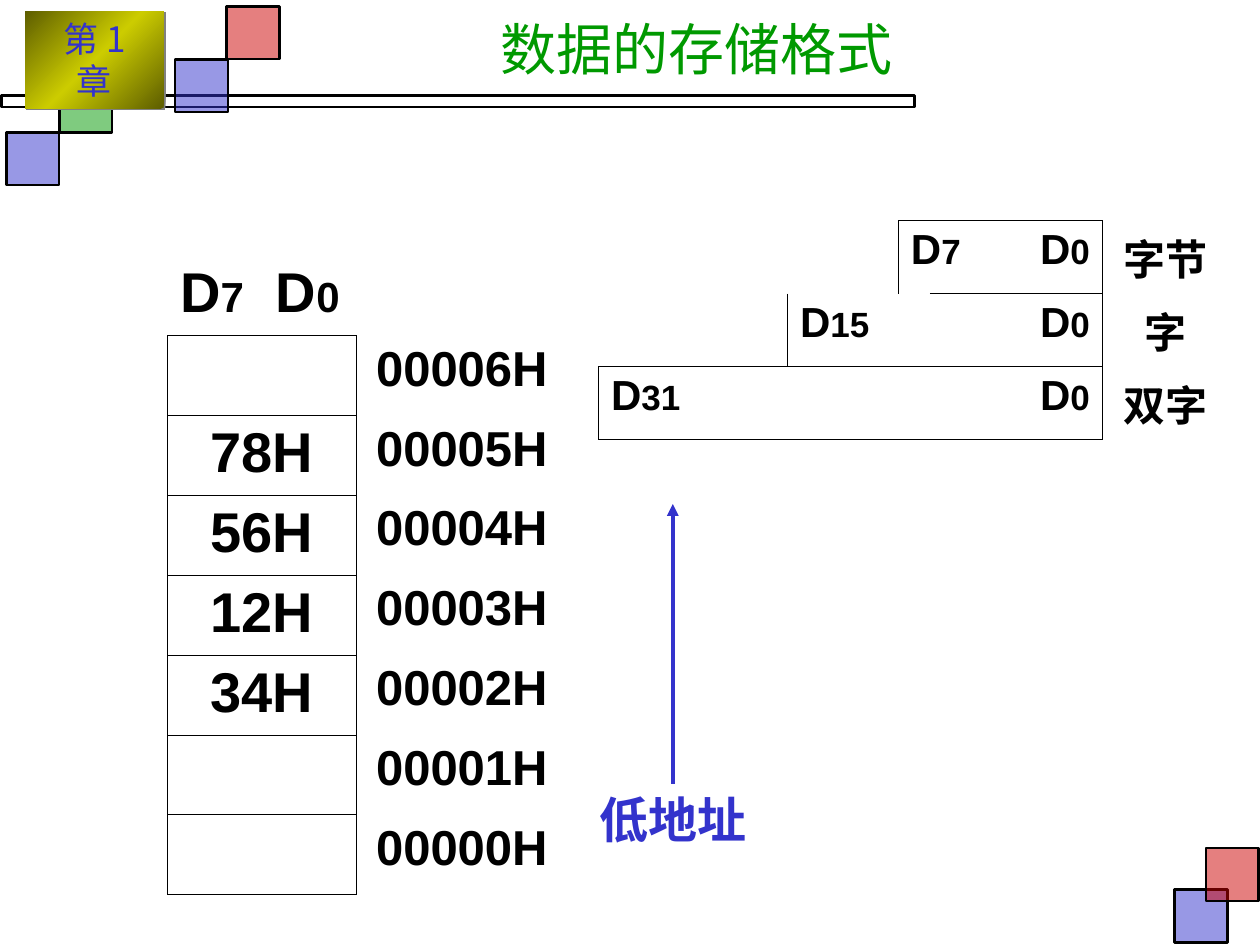
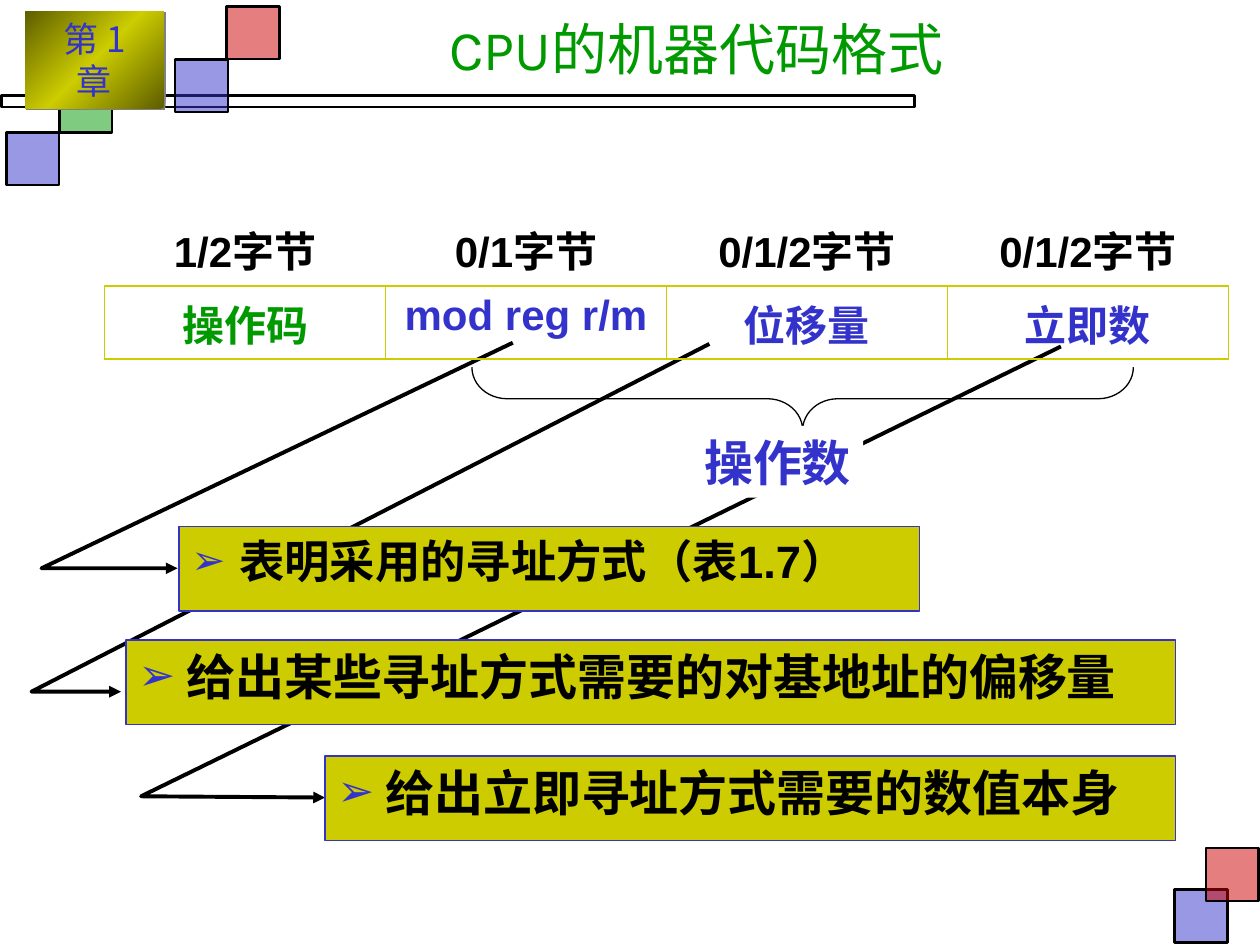
from copy import deepcopy
from lxml.etree import SubElement
from pptx import Presentation
from pptx.dml.color import RGBColor
from pptx.enum.shapes import MSO_CONNECTOR, MSO_SHAPE
from pptx.enum.text import MSO_ANCHOR, PP_ALIGN
from pptx.oxml.ns import qn
from pptx.util import Inches, Pt

COLORS = {
    "black": "000000", "white": "FFFFFF", "blue": "3333CC", "red": "CC0000",
    "green": "009900", "gold": "CCCC00", "olive": "5E5E00", "gray": "808080",
}
CJK_FONT = "Noto Sans CJK JP"
LEFT, CENTER, RIGHT, JUSTIFY = PP_ALIGN.LEFT, PP_ALIGN.CENTER, PP_ALIGN.RIGHT, PP_ALIGN.JUSTIFY


def write(frame, text, size=24, color="black", font="Arial", bold=True, align=LEFT,
          bullet=None, tab=None):
    para = frame.paragraphs[0]
    para.alignment = align
    properties = para._p.get_or_add_pPr()
    if bullet:
        properties.set("marL", str(Inches(0.38)))
        properties.set("indent", str(-Inches(0.38)))
        tint = SubElement(properties, qn("a:buClr"))
        SubElement(tint, qn("a:srgbClr"), val=COLORS["blue"])
        SubElement(properties, qn("a:buSzPct"), val="90000")
        SubElement(properties, qn("a:buFont"), typeface=font)
        SubElement(properties, qn("a:buChar"), char=bullet)
    if tab:
        stops = SubElement(properties, qn("a:tabLst"))
        SubElement(stops, qn("a:tab"), pos=str(Inches(tab)), algn="l")
    parts = [(text, size)] if isinstance(text, str) else text
    for words, points in parts:
        span = para.add_run()
        span.text = words
        span.font.size = Pt(points)
        span.font.bold = bold
        span.font.name = font
        span.font.color.rgb = RGBColor.from_string(COLORS[color])
        SubElement(span._r.get_or_add_rPr(), qn("a:ea"), typeface=CJK_FONT)


def draw_borders(cell, sides, color, width):
    properties = cell._tc.get_or_add_tcPr()
    for position, side in enumerate("LRTB"):
        line = properties.makeelement(qn("a:ln" + side), {"w": str(Pt(width))})
        if side in sides:
            fill = SubElement(line, qn("a:solidFill"))
            SubElement(fill, qn("a:srgbClr"), val=COLORS[color])
        else:
            SubElement(line, qn("a:noFill"))
        properties.insert(position, line)


deck = Presentation()
deck.slide_width, deck.slide_height = Inches(10), Inches(7.5)

SQUARES = [
    (9.32, 7.06, "blue"), (9.57, 6.73, "red"), (1.39, 0.47, "blue"),
    (0.05, 1.05, "blue"), (0.47, 0.63, "green"), (1.8, 0.05, "red"),
]
pages = []
for title in ("数据的存储格式", "CPU的机器代码格式"):
    page = deck.slides.add_slide(deck.slide_layouts[6])
    pages.append(page)
    band = page.shapes.add_shape(MSO_SHAPE.RECTANGLE, Inches(0.01), Inches(0.76),
                                 Inches(7.25), Inches(0.09))
    band.shadow.inherit = False
    band.fill.background()
    band.line.color.rgb = RGBColor.from_string(COLORS["black"])
    band.line.width = Pt(1.5)
    for left, top, color in SQUARES:
        square = page.shapes.add_shape(MSO_SHAPE.RECTANGLE, Inches(left), Inches(top),
                                       Inches(0.42), Inches(0.42))
        square.shadow.inherit = False
        square.fill.solid()
        square.fill.fore_color.rgb = RGBColor.from_string(COLORS[color])
        tint = square._element.spPr.find(qn("a:solidFill")).find(qn("a:srgbClr"))
        SubElement(tint, qn("a:alpha"), val="50000")
        square.line.color.rgb = RGBColor.from_string(COLORS["black"])
        square.line.width = Pt(1.5)

    chapter = page.shapes.add_shape(MSO_SHAPE.RECTANGLE, Inches(0.2), Inches(0.09),
                                    Inches(1.1), Inches(0.77))
    chapter.line.fill.background()
    chapter.shadow.inherit = False
    chapter.fill.gradient()
    chapter.fill.gradient_angle = 315
    dark, light = chapter.fill.gradient_stops
    dark.color.rgb = RGBColor.from_string(COLORS["olive"])
    light.color.rgb = RGBColor.from_string(COLORS["gold"])
    dark.position, light.position = 0, 0.5
    stop_list = chapter._element.spPr.find(".//" + qn("a:gsLst"))
    last_stop = deepcopy(stop_list[0])
    last_stop.set("pos", "100000")
    stop_list.append(last_stop)
    effects = chapter._element.spPr.find(qn("a:effectLst"))
    shadow = SubElement(effects, qn("a:outerShdw"), dist=str(Pt(1.4)), dir="2700000")
    SubElement(shadow, qn("a:srgbClr"), val=COLORS["gray"])
    frame = chapter.text_frame
    frame.word_wrap = True
    frame.vertical_anchor = MSO_ANCHOR.TOP
    frame.margin_left = frame.margin_right = Inches(0.16)
    write(frame, "第 1 章", size=20, color="blue", font=CJK_FONT, bold=False, align=CENTER)

    heading = page.shapes.add_textbox(Inches(2.24), Inches(0.08), Inches(6.58), Inches(0.6))
    frame = heading.text_frame
    frame.word_wrap = True
    frame.vertical_anchor = MSO_ANCHOR.MIDDLE
    frame.margin_left = frame.margin_right = frame.margin_top = frame.margin_bottom = 0
    write(frame, title, size=32, color="green", font="Karla", bold=False, align=CENTER)

storage_page, code_page = pages

NOTES = [
    ("给出立即寻址方式需要的数值本身", 28, 2.58, 6, 6.75, [(8.42, 2.75), (1.12, 6.32), (2.58, 6.33)]),
    ("给出某些寻址方式需要的对基地址的偏移量", 28, 1, 5.08, 8.33, [(5.63, 2.73), (0.25, 5.49), (0.96, 5.49)]),
    ("表明采用的寻址方式（表1.7）", 25.9, 1.42, 4.18, 5.88, [(4.07, 2.72), (0.33, 4.51), (1.41, 4.51)]),
]
for text, size, left, top, width, points in NOTES:
    start, *rest = [(Inches(x), Inches(y)) for x, y in points]
    builder = code_page.shapes.build_freeform(*start)
    builder.add_line_segments(rest, close=False)
    pointer = builder.convert_to_shape()
    pointer.shadow.inherit = False
    pointer.fill.background()
    pointer.line.color.rgb = RGBColor.from_string(COLORS["black"])
    pointer.line.width = Pt(2.25)
    SubElement(pointer._element.spPr.find(qn("a:ln")), qn("a:tailEnd"), type="triangle")

    note = code_page.shapes.add_shape(MSO_SHAPE.RECTANGLE, Inches(left), Inches(top),
                                      Inches(width), Inches(0.67))
    note.shadow.inherit = False
    note.fill.solid()
    note.fill.fore_color.rgb = RGBColor.from_string(COLORS["gold"])
    note.line.color.rgb = RGBColor.from_string(COLORS["blue"])
    note.line.width = Pt(0.75)
    note.text_frame.word_wrap = True
    note.text_frame.vertical_anchor = MSO_ANCHOR.TOP
    write(note.text_frame, text, size=size, align=JUSTIFY, bullet="➢")

TABLES = [
    (storage_page, 4.75, 1.75, [1.25, 0.25, 0.88, 0.25, 0.56, 0.81, 1], 3, 0.58),
    (storage_page, 1.33, 2.03, [1.5, 1.67], 8, 5.07 / 8),
    (code_page, 0.83, 1.69, [2.23] * 4, 2, 0.58),
]
tables = []
for page, left, top, widths, row_count, height in TABLES:
    table = page.shapes.add_table(row_count, len(widths), Inches(left), Inches(top),
                                  Inches(sum(widths)), Inches(row_count * height)).table
    table.first_row = table.horz_banding = False
    table._tbl.tblPr.find(qn("a:tableStyleId")).text = "{2D5ABB26-0587-4C30-8999-92F81FD0307C}"
    for column, width in zip(table.columns, widths):
        column.width = Inches(width)
    for row in table.rows:
        row.height = Inches(height)
        for cell in row.cells:
            cell.fill.background()
    tables.append(table)
units, memory, fields = tables

UNITS = [
    ("7", "字节", 3, [(1, 2), (3, 4)]),
    ("15", "字", 2, [(0, 1), (2, 3)]),
    ("31", "双字", 0, [(1, 2), (3, 4)]),
]
for row, (high_bit, name, start, spans) in enumerate(UNITS):
    for column in range(7):
        inside = start <= column < 6
        under_box = row > 0 and UNITS[row - 1][2] <= column < 6
        sides = ""
        if column in (start, 6):
            sides += "L"
        if column in (start - 1, 5):
            sides += "R"
        if under_box or (inside and row != 1):
            sides += "T"
        if inside or (row == 1 and column < 6):
            sides += "B"
        draw_borders(units.cell(row, column), sides, "black", 0.45)
    for first, last in spans:
        units.cell(row, first).merge(units.cell(row, last))
    write(units.cell(row, start).text_frame, [("D", 24), (high_bit, 20)], align=JUSTIFY)
    write(units.cell(row, 5).text_frame, [("D", 24), ("0", 20)], align=RIGHT)
    write(units.cell(row, 6).text_frame, name, align=CENTER)

write(memory.cell(0, 0).text_frame, [("D", 32), ("7", 24), ("\tD", 32), ("0", 24)], tab=0.76)
draw_borders(memory.cell(0, 0), "B", "black", 0.45)
for row, value in enumerate(["", "78H", "56H", "12H", "34H", "", ""], 1):
    draw_borders(memory.cell(row, 0), "LRTB", "black", 0.45)
    draw_borders(memory.cell(row, 1), "L", "black", 0.45)
    if value:
        write(memory.cell(row, 0).text_frame, value, size=32, align=CENTER)
    write(memory.cell(row, 1).text_frame, f"{7 - row:05d}H", size=28, align=CENTER)

FIELDS = [
    ("1/2字节", "操作码", "green"), ("0/1字节", "mod reg r/m", "blue"),
    ("0/1/2字节", "位移量", "blue"), ("0/1/2字节", "立即数", "blue"),
]
for column, (length, name, color) in enumerate(FIELDS):
    draw_borders(fields.cell(0, column), "B", "gold", 1.08)
    draw_borders(fields.cell(1, column), "LRTB", "gold", 1.08)
    write(fields.cell(0, column).text_frame, length, align=CENTER)
    write(fields.cell(1, column).text_frame, name, color=color, align=CENTER)

brace = code_page.shapes.add_shape(MSO_SHAPE.RIGHT_BRACE, Inches(6.12), Inches(0.54),
                                   Inches(0.5), Inches(5.25))
brace.rotation = 90
brace.adjustments[0], brace.adjustments[1] = 0.56, 0.5
brace.shadow.inherit = False
brace.fill.background()
brace.line.color.rgb = RGBColor.from_string(COLORS["black"])
brace.line.width = Pt(0.75)

labels = []
for page, text, left, top in ((storage_page, "低地址", 4.66, 6.22), (code_page, "操作数", 5.49, 3.38)):
    label = page.shapes.add_textbox(Inches(left), Inches(top), Inches(1.36), Inches(0.57))
    label.text_frame.word_wrap = False
    label.text_frame.margin_right = 0
    write(label.text_frame, text, size=28, color="blue")
    labels.append(label)
low_address, operand = labels
operand.fill.solid()
operand.fill.fore_color.rgb = RGBColor.from_string(COLORS["white"])

arrow = storage_page.shapes.add_connector(MSO_CONNECTOR.STRAIGHT, Inches(5.34), Inches(6.22),
                                          Inches(5.34), Inches(4))
arrow.begin_connect(low_address, 0)
arrow.line.color.rgb = RGBColor.from_string(COLORS["blue"])
arrow.line.width = Pt(2.25)
SubElement(arrow._element.spPr.find(qn("a:ln")), qn("a:tailEnd"), type="triangle")
SubElement(arrow._element.spPr, qn("a:effectLst"))

deck.save("out.pptx")
